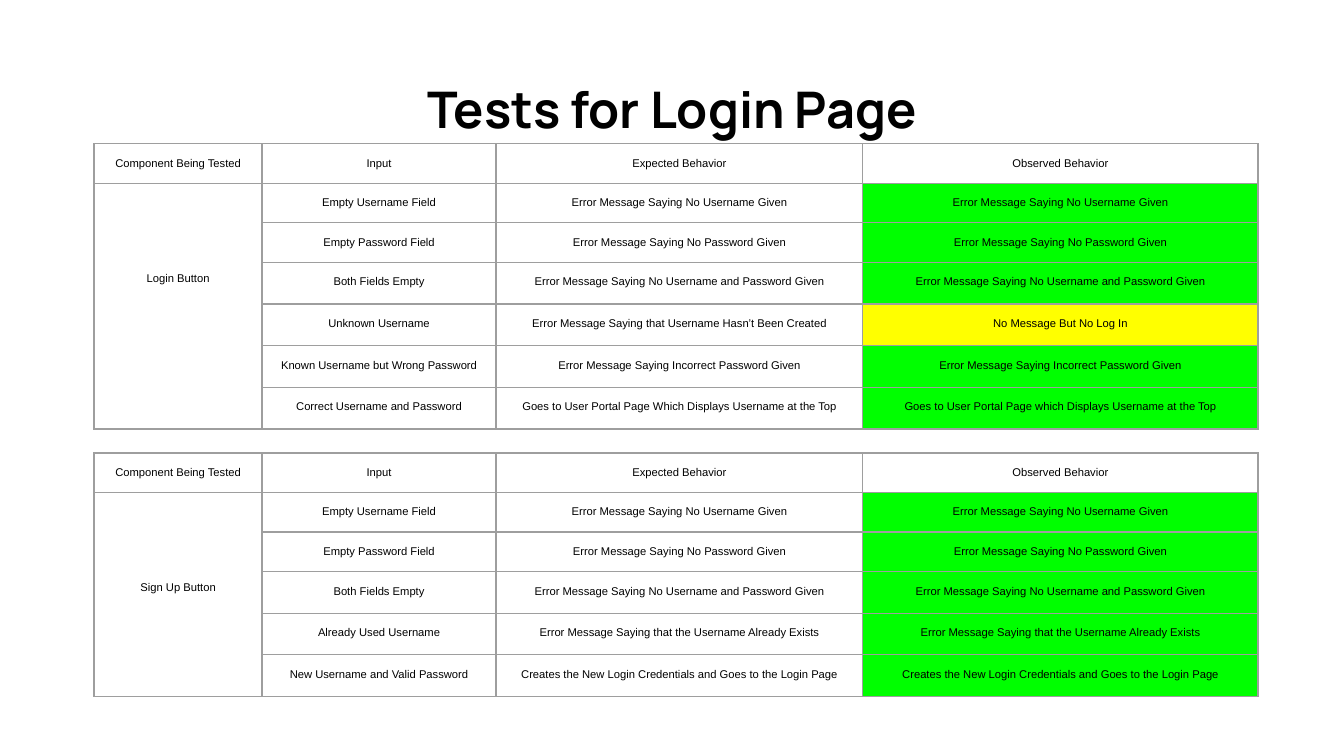
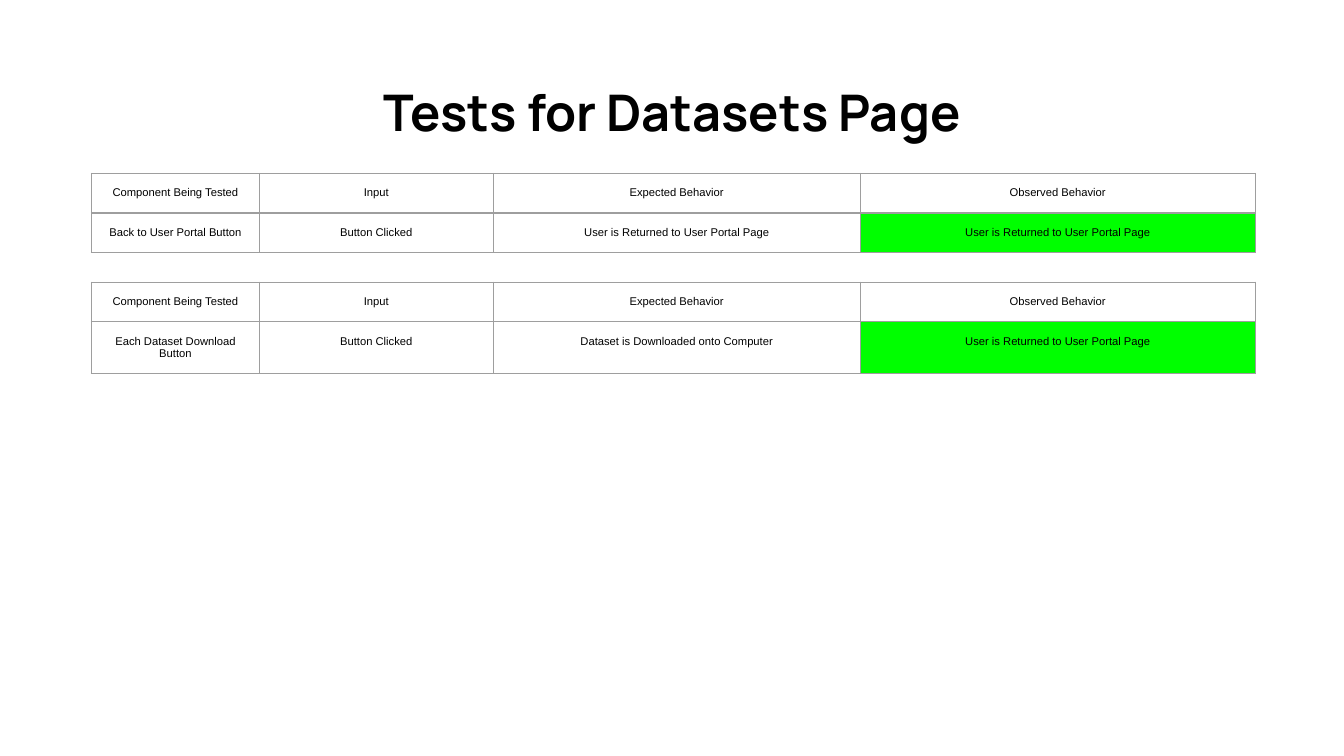
import pptx
import pptx.util
import pptx.dml.color
import pptx.enum.text
import pptx.oxml
import pptx.oxml.ns

HEADINGS = ("Component Being Tested", "Input", "Expected Behavior", "Observed Behavior")
PASSED, PARTIAL = "00FF00", "FFFF00"
INK, GRID_LINE = "000000", "9E9E9E"


def colour(hex_text):
    return pptx.dml.color.RGBColor.from_string(hex_text)


class TestReport:
    GRID_COLUMNS = 100
    TEST_COLUMNS = (12.5, 17.4, 27.3, 29.4)
    SHORT_ROW, TALL_ROW = 2.8, 3.1
    PADDING = 1
    SPANNED_PADDING = 6.6

    def __init__(self):
        self.deck = pptx.Presentation()
        self.deck.slide_width = pptx.util.Inches(10)
        self.deck.slide_height = pptx.util.Inches(5.625)
        self.slide = None

    def grid(self, units):
        return round(self.deck.slide_width * units / self.GRID_COLUMNS)

    def format_text(self, frame, font, size, bold=False):
        for paragraph in frame.paragraphs:
            paragraph.alignment = pptx.enum.text.PP_ALIGN.CENTER
            for run in paragraph.runs:
                run.font.name = font
                run.font.size = pptx.util.Pt(size)
                run.font.bold = bold
                run.font.color.rgb = colour(INK)

    def pad(self, box, top=PADDING):
        box.margin_left = box.margin_right = box.margin_bottom = self.grid(self.PADDING)
        box.margin_top = self.grid(top)

    def page(self, heading, top):
        self.slide = self.deck.slides.add_slide(self.deck.slide_layouts[5])
        title = self.slide.shapes.title
        title.left, title.top = self.grid(3.4), self.grid(top)
        title.width, title.height = self.grid(93.2), self.grid(6.8)
        frame = title.text_frame
        frame.text = heading
        frame.word_wrap = True
        frame.auto_size = pptx.enum.text.MSO_AUTO_SIZE.NONE
        frame.vertical_anchor = pptx.enum.text.MSO_ANCHOR.MIDDLE
        self.pad(frame)
        self.format_text(frame, "Manrope", 27, bold=True)

    def outline(self, cell):
        properties = cell._tc.get_or_add_tcPr()
        for position, side in enumerate(("lnL", "lnR", "lnT", "lnB")):
            properties.insert(position, pptx.oxml.parse_xml(
                f'<a:{side} {pptx.oxml.ns.nsdecls("a")} w="{pptx.util.Pt(0.75)}">'
                f'<a:solidFill><a:srgbClr val="{GRID_LINE}"/></a:solidFill></a:{side}>'))

    def fill_cell(self, cell, text, fill=None, top=PADDING):
        cell.text_frame.text = text
        cell.vertical_anchor = pptx.enum.text.MSO_ANCHOR.TOP
        self.pad(cell, top)
        self.format_text(cell.text_frame, "Arial", 6)
        if fill:
            cell.fill.solid()
            cell.fill.fore_color.rgb = colour(fill)
        else:
            cell.fill.background()
        self.outline(cell)

    def tests(self, component, cases, left, top):
        heights = [self.SHORT_ROW if row < 3 else self.TALL_ROW
                   for row in range(len(cases) + 1)]
        table = self.slide.shapes.add_table(
            len(heights), len(HEADINGS), self.grid(left), self.grid(top),
            self.grid(sum(self.TEST_COLUMNS)), self.grid(sum(heights))).table
        table.first_row = table.horz_banding = False
        for column, width in zip(table.columns, self.TEST_COLUMNS):
            column.width = self.grid(width)
        for row, height in zip(table.rows, heights):
            row.height = self.grid(height)
        for column, heading in enumerate(HEADINGS):
            self.fill_cell(table.cell(0, column), heading)
        spanned = len(cases) > 1
        for row, (action, expected, observed, verdict) in enumerate(cases, 1):
            first = row == 1
            self.fill_cell(table.cell(row, 0), component if first else "",
                           top=self.SPANNED_PADDING if first and spanned else self.PADDING)
            self.fill_cell(table.cell(row, 1), action)
            self.fill_cell(table.cell(row, 2), expected)
            self.fill_cell(table.cell(row, 3), observed, verdict)
        if spanned:
            table.cell(1, 0).merge(table.cell(len(cases), 0))


def as_expected(action, behavior):
    return action, behavior, behavior, PASSED


EMPTY_FIELD_CASES = [
    as_expected("Empty Username Field", "Error Message Saying No Username Given"),
    as_expected("Empty Password Field", "Error Message Saying No Password Given"),
    as_expected("Both Fields Empty", "Error Message Saying No Username and Password Given"),
]
LOGIN_CASES = EMPTY_FIELD_CASES + [
    ("Unknown Username", "Error Message Saying that Username Hasn’t Been Created",
     "No Message But No Log In", PARTIAL),
    as_expected("Known Username but Wrong Password",
                "Error Message Saying Incorrect Password Given"),
    ("Correct Username and Password",
     "Goes to User Portal Page Which Displays Username at the Top",
     "Goes to User Portal Page which Displays Username at the Top", PASSED),
]
SIGN_UP_CASES = EMPTY_FIELD_CASES + [
    as_expected("Already Used Username",
                "Error Message Saying that the Username Already Exists"),
    as_expected("New Username and Valid Password",
                "Creates the New Login Credentials and Goes to the Login Page"),
]
PORTAL_RETURN = "User is Returned to User Portal Page"
BACK_CASES = [as_expected("Button Clicked", PORTAL_RETURN)]
DOWNLOAD_CASES = [
    ("Button Clicked", "Dataset is Downloaded onto Computer", PORTAL_RETURN, PASSED),
]


def main():
    report = TestReport()
    report.page("Tests for Login Page", top=4.7)
    report.tests("Login Button", LOGIN_CASES, left=7, top=10.7)
    report.tests("Sign Up Button", SIGN_UP_CASES, left=7, top=33.7)
    report.page("Tests for Datasets Page", top=4.9)
    report.tests("Back to User Portal Button", BACK_CASES, left=6.8, top=12.9)
    report.tests("Each Dataset Download Button", DOWNLOAD_CASES, left=6.8, top=21)
    report.deck.save("out.pptx")


if __name__ == "__main__":
    main()
